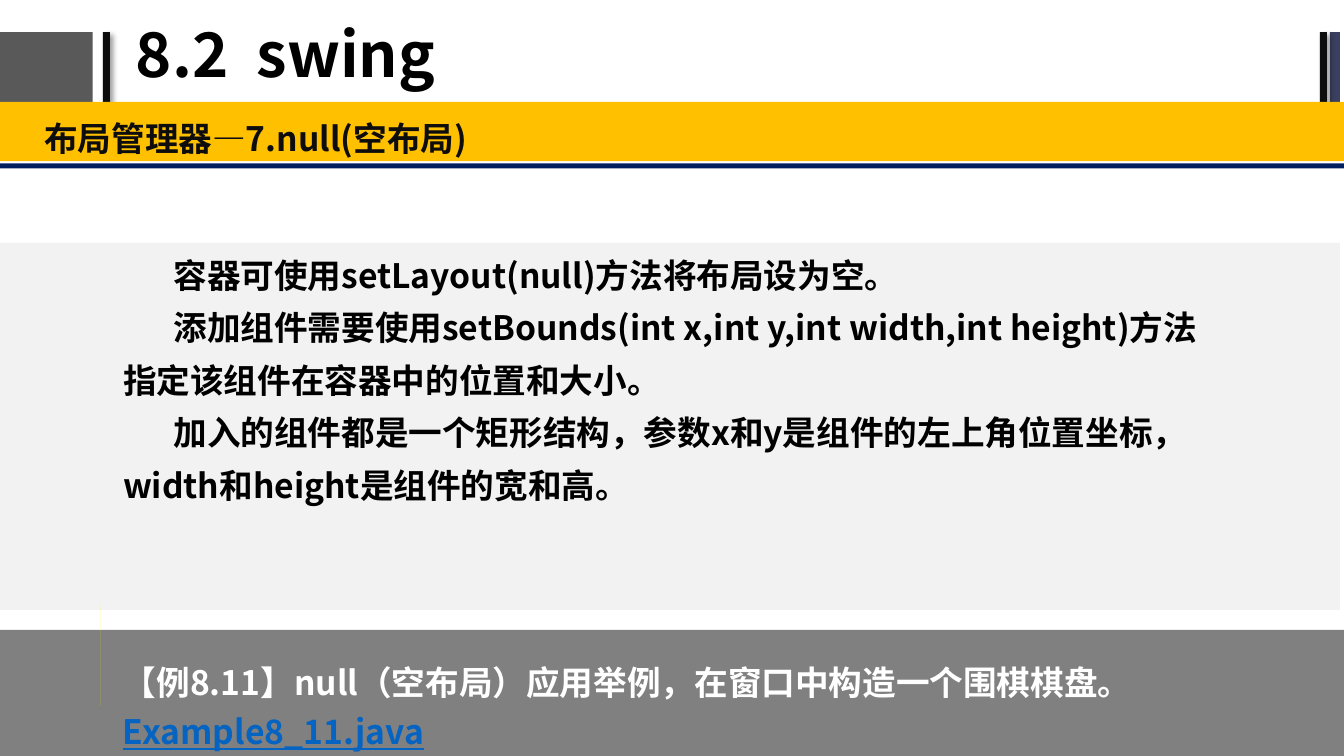
"""Build the slide on the null layout of the swing chapter."""
import math

from lxml import etree
from pptx import Presentation
from pptx.dml.color import RGBColor
from pptx.enum.shapes import MSO_SHAPE
from pptx.enum.text import MSO_ANCHOR
from pptx.oxml.ns import qn
from pptx.util import Inches, Pt

RECTANGLE = MSO_SHAPE.RECTANGLE
TOP, MIDDLE = MSO_ANCHOR.TOP, MSO_ANCHOR.MIDDLE

BLACK = RGBColor(0x00, 0x00, 0x00)
NEAR_BLACK = RGBColor(0x0D, 0x0D, 0x0D)
WHITE = RGBColor(0xFF, 0xFF, 0xFF)
DARK_GRAY = RGBColor(0x59, 0x59, 0x59)
GRAY = RGBColor(0x80, 0x80, 0x80)
PALE_GRAY = RGBColor(0xF2, 0xF2, 0xF2)
SLATE = RGBColor(0x3B, 0x3F, 0x60)
NAVY = RGBColor(0x00, 0x20, 0x60)
AMBER = RGBColor(0xFF, 0xC0, 0x00)
YELLOW = RGBColor(0xFF, 0xFF, 0x00)
LINK_BLUE = RGBColor(0x05, 0x63, 0xC1)

FONT = "Noto Sans CJK SC"
SLIDE_WIDTH, SLIDE_HEIGHT = 13.33, 7.5

TITLE = "8.2  swing"
SUBTITLE = "布局管理器—7.null(空布局)"
BODY = [
    "容器可使用setLayout(null)方法将布局设为空。",
    "添加组件需要使用setBounds(int x,int y,int width,int height)方法指定该组件在容器中的位置和大小。",
    "加入的组件都是一个矩形结构，参数x和y是组件的左上角位置坐标，width和height是组件的宽和高。",
]
EXAMPLE = "【例8.11】null（空布局）应用举例，在窗口中构造一个围棋棋盘。"
EXAMPLE_FILE = "Example8_11.java"

HEADER_TOP, HEADER_HEIGHT = 0.32, 0.76
HEADER_BLOCKS = [
    (-0.02, 0.94, DARK_GRAY, False),
    (1.02, 0.07, NEAR_BLACK, True),
    (13.19, 0.1, SLATE, False),
    (13.09, 0.07, NEAR_BLACK, True),
]
BANDS = [
    (0, 1.62, SLIDE_WIDTH, 0.05, NAVY),
    (-0.04, 1.01, 13.4, 0.59, AMBER),
    (-0.04, 2.41, SLIDE_WIDTH, 3.64, PALE_GRAY),
    (0, 6.25, 13.36, 1.26, GRAY),
]
TEXT_LEFT = 1.09
TEXT_INSETS = (0.13, 0.07)

BAG_OUTLINE = [
    (1.08, 6.53), (1, 6.53), (1, 6.49), (0.98, 6.44), (0.93, 6.42), (0.85, 6.42),
    (0.84, 6.43), (0.85, 6.44), (0.93, 6.44), (0.96, 6.46), (0.97, 6.49),
    (0.97, 6.53), (0.96, 6.53), (0.96, 6.49), (0.95, 6.46), (0.92, 6.45),
    (0.87, 6.45), (0.87, 6.46), (0.92, 6.46), (0.94, 6.47), (0.95, 6.49),
    (0.95, 6.53), (0.71, 6.53), (0.7, 6.54), (0.7, 6.9), (0.71, 6.92),
    (1.08, 6.92), (1.09, 6.9), (1.09, 6.54),
]
BAG_WINDOW = [(1.06, 6.89), (0.72, 6.89), (0.72, 6.55), (1.06, 6.55)]
BULB_CENTER = (0.91, 6.7)


def paint(shape, color):
    shape.fill.solid()
    shape.fill.fore_color.rgb = color
    shape.line.fill.background()
    shape.shadow.inherit = False


def add_shadow(shape):
    effects = shape._element.spPr.find(qn("a:effectLst"))
    shadow = etree.SubElement(effects, qn("a:outerShdw"), blurRad=str(Pt(4)),
                              dist=str(Pt(3)), dir=str(45 * 60000))
    color = etree.SubElement(shadow, qn("a:srgbClr"), val=str(BLACK))
    etree.SubElement(color, qn("a:alpha"), val="40000")


def add_block(slide, left, top, width, height, color):
    shape = slide.shapes.add_shape(
        RECTANGLE, Inches(left), Inches(top), Inches(width), Inches(height))
    paint(shape, color)
    return shape


def add_outline(slide, contours, color):
    builder = slide.shapes.build_freeform(*contours[0][0], scale=Inches(1))
    builder.add_line_segments(contours[0][1:], close=True)
    for contour in contours[1:]:
        builder.move_to(*contour[0])
        builder.add_line_segments(contour[1:], close=True)
    paint(builder.convert_to_shape(), color)


def bulb_contour(radius, neck, base):
    x, y = BULB_CENTER
    angles = [math.radians(angle) for angle in range(120, 421, 15)]
    dome = [(x + radius * math.cos(a), y + radius * math.sin(a)) for a in angles]
    foot = [(x + neck, base - 0.03), (x + neck / 2, base),
            (x - neck / 2, base), (x - neck, base - 0.03)]
    return dome + foot


def add_text(slide, paragraphs, left, top, width, height, size=24, color=BLACK,
             spacing=1.2, indent=0, insets=TEXT_INSETS, anchor=TOP):
    box = slide.shapes.add_textbox(
        Inches(left), Inches(top), Inches(width), Inches(height))
    frame = box.text_frame
    frame.word_wrap = True
    frame.vertical_anchor = anchor
    frame.margin_left = frame.margin_right = Inches(insets[0])
    frame.margin_top = frame.margin_bottom = Inches(insets[1])
    for index, text in enumerate(paragraphs):
        paragraph = frame.paragraphs[0] if index == 0 else frame.add_paragraph()
        paragraph.line_spacing = spacing
        if indent:
            properties = paragraph._p.get_or_add_pPr()
            properties.set("marL", "0")
            properties.set("indent", str(Inches(indent)))
        add_run(paragraph, text, size, color)
    return box


def add_run(paragraph, text, size, color, underline=None):
    run = paragraph.add_run()
    run.text = text
    font = run.font
    font.size, font.bold, font.name, font.underline = Pt(size), True, FONT, underline
    font.color.rgb = color
    etree.SubElement(run._r.get_or_add_rPr(), qn("a:ea"), typeface=FONT)


def main():
    presentation = Presentation()
    presentation.slide_width = Inches(SLIDE_WIDTH)
    presentation.slide_height = Inches(SLIDE_HEIGHT)
    slide = presentation.slides.add_slide(presentation.slide_layouts[6])

    for left, width, color, shadowed in HEADER_BLOCKS:
        block = add_block(slide, left, HEADER_TOP, width, HEADER_HEIGHT, color)
        if shadowed:
            add_shadow(block)
    for band in BANDS:
        add_block(slide, *band)

    add_text(slide, [TITLE], 1.25, 0.02, 8.47, 1.1, size=44, spacing=0.9,
             insets=(0.1, 0.05), anchor=MIDDLE)
    add_text(slide, [SUBTITLE], 0.31, 1.02, 13.06, 0.58, color=NEAR_BLACK)
    add_text(slide, BODY, TEXT_LEFT, 2.34, 11.08, 3.17, spacing=1.3, indent=0.5)

    add_outline(slide, [BAG_OUTLINE, BAG_WINDOW], YELLOW)
    add_outline(slide, [bulb_contour(0.07, 0.04, 6.81),
                        bulb_contour(0.05, 0.03, 6.8)], YELLOW)
    example = add_text(slide, [EXAMPLE], TEXT_LEFT, 6.42, 12.77, 0.58, color=WHITE)
    add_run(example.text_frame.paragraphs[0], EXAMPLE_FILE, 24, LINK_BLUE, True)

    presentation.save("out.pptx")


if __name__ == "__main__":
    main()
